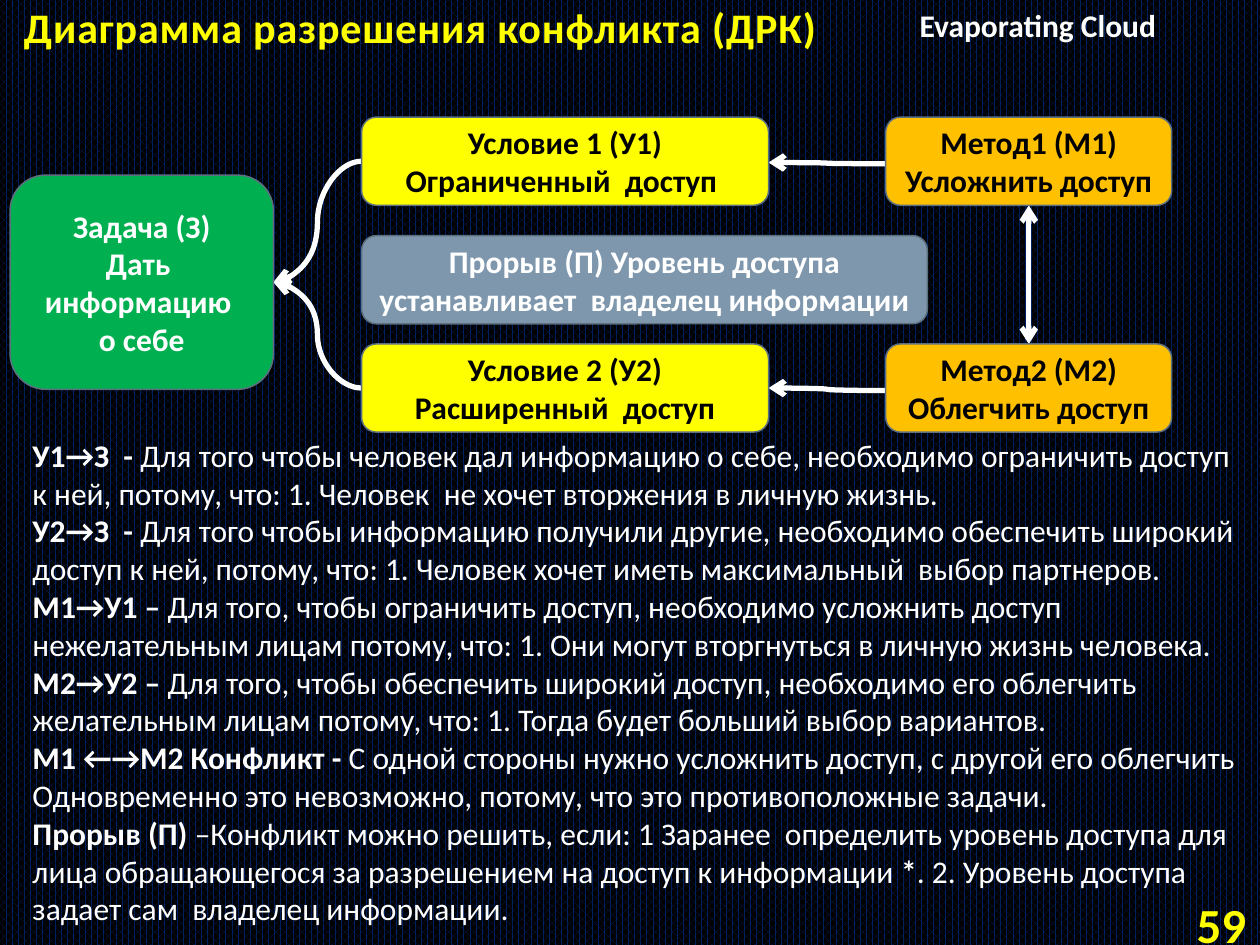
from pptx import Presentation
from pptx import util as u
from pptx.dml.color import RGBColor
from pptx.enum import dml, shapes, text
from pptx.oxml.ns import qn
from lxml import etree

In = u.Inches
MID = text.MSO_ANCHOR.MIDDLE
LEFT, MIDDLE, RIGHT = text.PP_ALIGN.LEFT, text.PP_ALIGN.CENTER, text.PP_ALIGN.RIGHT
TOP, LOW = 0.93, 2.73
HIGH = 0.7

NOTES = [
    ("У1→З  -", " Для того чтобы человек дал информацию о себе, необходимо ограничить доступ к ней, потому, что: 1. Человек  не хочет вторжения в личную жизнь."),
    ("У2→З  -", " Для того чтобы информацию получили другие, необходимо обеспечить широкий доступ к ней, потому, что: 1. Человек хочет иметь максимальный  выбор партнеров."),
    ("M1→У1 –", " Для того, чтобы ограничить доступ, необходимо усложнить доступ нежелательным лицам потому, что: 1. Они могут вторгнуться в личную жизнь человека."),
    ("M2→У2 –", " Для того, чтобы обеспечить широкий доступ, необходимо его облегчить желательным лицам потому, что: 1. Тогда будет больший выбор вариантов."),
    ("М1 ←→М2 Конфликт - ", "С одной стороны нужно усложнить доступ, с другой его облегчить Одновременно это невозможно, потому, что это противоположные задачи."),
    ("Прорыв (П) ", "–Конфликт можно решить, если: 1 Заранее  определить уровень доступа для лица обращающегося за разрешением на доступ к информации ", "*", ". 2. Уровень доступа задает сам  владелец информации."),
]


def tint(code):
    return RGBColor.from_string(code)


def write(shape, paras, size=18, color="FFFFFF", align=LEFT, anchor=text.MSO_ANCHOR.TOP, space=None):
    frame = shape.text_frame
    frame.word_wrap = True
    frame.auto_size = text.MSO_AUTO_SIZE.NONE
    frame.vertical_anchor = anchor
    for i, runs in enumerate(paras):
        para = frame.add_paragraph() if i else frame.paragraphs[0]
        para.alignment = align
        for j, part in enumerate(runs):
            for k, line in enumerate(part.split("\n")):
                if k:
                    para.add_line_break()
                run = para.add_run()
                run.text = line
                font = run.font
                font.name, font.size, font.bold = "Calibri", u.Pt(size), j % 2 == 0
                font.color.rgb = tint(color)
                if space:
                    run._r.get_or_add_rPr().set("spc", str(int(space * 100)))


def label(slide, box, paras, **style):
    write(slide.shapes.add_textbox(*map(In, box)), paras, **style)


def card(slide, box, fill, *lines, color="000000"):
    shape = slide.shapes.add_shape(shapes.MSO_SHAPE.ROUNDED_RECTANGLE, *map(In, box))
    shape.shadow.inherit = False
    shape.fill.solid()
    shape.fill.fore_color.rgb = tint(fill)
    shape.line.color.rgb = tint("5D7080")
    shape.line.width = u.Pt(0.85)
    write(shape, [(line,) for line in lines], color=color, align=MIDDLE, anchor=MID)


def arrow(slide, start, end, kind=shapes.MSO_CONNECTOR.CURVE, ends=("tailEnd",)):
    link = slide.shapes.add_connector(kind, *map(In, start + end))
    link.line.color.rgb = tint("FFFFFF")
    link.line.width = u.Pt(3)
    for name in ends:
        etree.SubElement(link.line._get_or_add_ln(), qn("a:" + name), type="arrow")
    etree.SubElement(link._element.spPr, qn("a:effectLst"))


def header(slide, box):
    left, top, wide, high = box
    title = slide.shapes.title
    title.left, title.top, title.width, title.height = map(In, (left, top, 6.71, high))
    write(title, [("Диаграмма разрешения конфликта (ДРК)",)], size=24, color="FFFF00",
          anchor=text.MSO_ANCHOR.BOTTOM, space=0.5)
    label(slide, (left + wide - 2.16, top, 2.16, 0.4), [("Evaporating Cloud",)])


def cloud(slide, box):
    left, top, wide, high = box
    goal, need, way = left, left + 2.79, left + 6.95
    low = top + high - HIGH
    mid = way + 2.27 / 2
    tip = (goal + 2.09, 2.24)
    for y, shift in ((top, 0.01), (low, 0.02)):
        arrow(slide, (way, y + 0.37), (need + 3.23, y + 0.37 - shift))
        arrow(slide, (need, y + HIGH / 2), tip)
    arrow(slide, (mid, top + HIGH), (mid, low), shapes.MSO_CONNECTOR.STRAIGHT, ("headEnd", "tailEnd"))
    card(slide, (goal, 1.39, 2.09, 1.7), "00B050", "Задача (З)", "Дать  информацию \nо себе", color="FFFFFF")
    card(slide, (need, 1.87, 4.49, HIGH), "7E97AD",
         "Прорыв (П) Уровень доступа устанавливает  владелец информации", color="FFFFFF")
    for y, num, access, step in ((top, 1, "Ограниченный  доступ ", "Усложнить доступ"),
                                 (low, 2, "Расширенный  доступ", "Облегчить доступ")):
        card(slide, (need, y, 3.23, HIGH), "FFFF00", f"Условие {num} (У{num})", access)
        card(slide, (way, y, 2.27, HIGH), "FFC000", f"Метод{num} (М{num})", step)


def main():
    deck = Presentation()
    deck.slide_width, deck.slide_height = In(10), In(7.5)
    slide = deck.slides.add_slide(deck.slide_layouts[5])
    fill = slide.background.fill
    fill.patterned()
    fill.pattern = dml.MSO_PATTERN.PERCENT_70
    fill.fore_color.rgb = tint("002060")
    fill.back_color.rgb = tint("000000")
    header(slide, (0.09, 0, 9.27, 0.46))
    cloud(slide, (0.08, TOP, 9.22, LOW + HIGH - TOP))
    label(slide, (0.16, 3.41, 9.84, 4.04), NOTES)
    label(slide, (8.78, 7.13, 1.21, 0.4), [("59",)], size=28, color="FFFF00", align=RIGHT, anchor=MID)
    deck.save("out.pptx")


if __name__ == "__main__":
    main()
